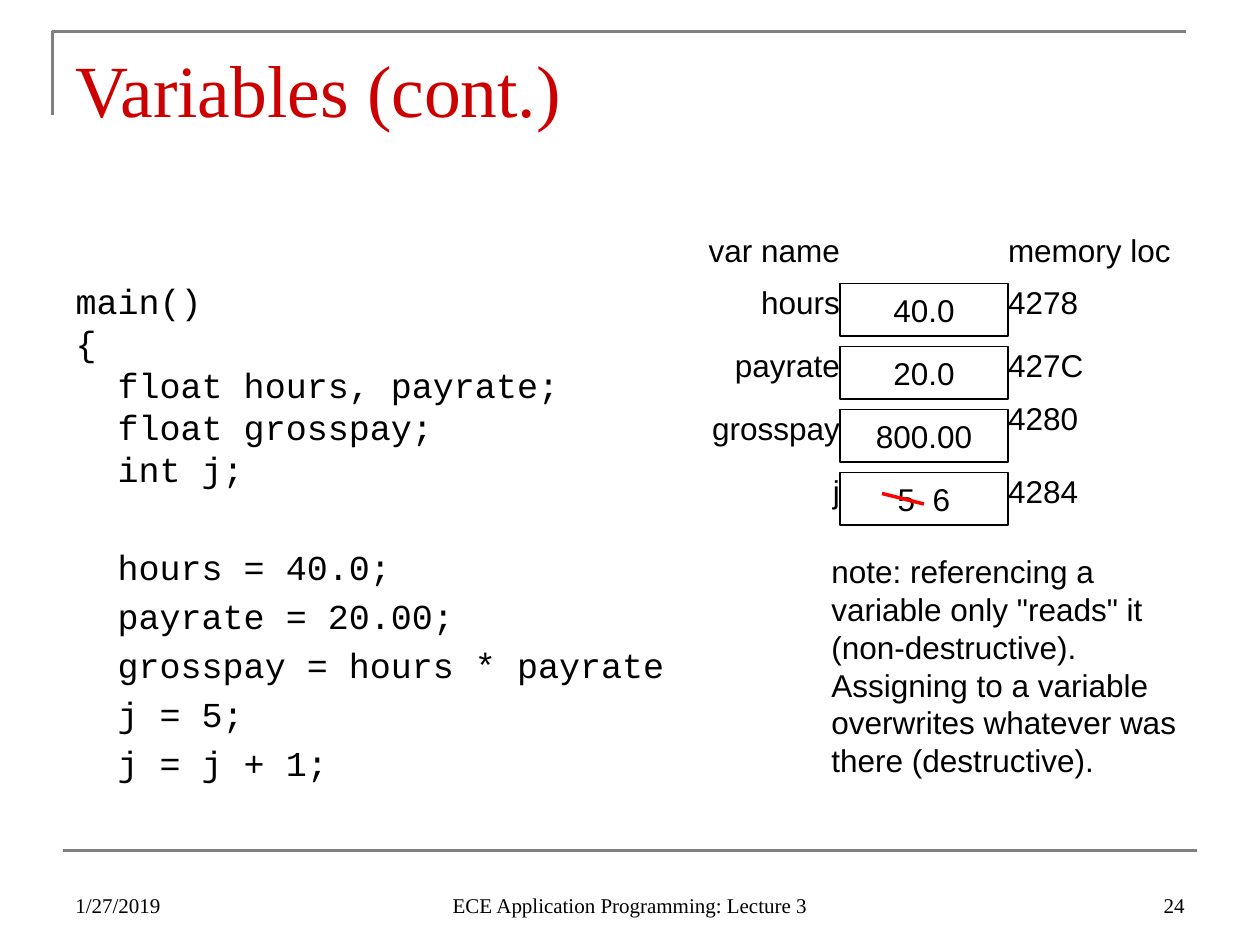
from dataclasses import dataclass

from pptx import Presentation
from pptx.dml.color import RGBColor
from pptx.enum.shapes import MSO_CONNECTOR, MSO_SHAPE
from pptx.enum.text import MSO_ANCHOR, MSO_AUTO_SIZE, PP_ALIGN
from pptx.oxml.ns import qn
from pptx.util import Pt
from lxml.etree import SubElement

PX = 7620


@dataclass(frozen=True)
class Theme:
    ink: RGBColor = RGBColor(0x00, 0x00, 0x00)
    title: RGBColor = RGBColor(0xCC, 0x00, 0x00)
    rule: RGBColor = RGBColor(0x80, 0x80, 0x80)
    strike: RGBColor = RGBColor(0xFF, 0x00, 0x00)
    serif: str = "Times New Roman"
    sans: str = "Arial"
    mono: str = "Courier New"
    title_size: int = 42
    code_size: int = 20
    label_size: int = 18
    footer_size: int = 12


class SlideBuilder:
    def __init__(self, slide, theme):
        self.slide = slide
        self.theme = theme

    def place(self, shape, left, top, width, height):
        shape.left, shape.top = left * PX, top * PX
        shape.width, shape.height = width * PX, height * PX

    def style(self, paragraph, face, size, color, align=PP_ALIGN.LEFT):
        paragraph.alignment = align
        for run in paragraph.runs:
            run.font.name = face
            run.font.size = Pt(size)
            run.font.color.rgb = color

    def title(self, text, *box):
        shape = self.slide.shapes.title
        self.place(shape, *box)
        frame = shape.text_frame
        frame.text = text
        frame.auto_size = MSO_AUTO_SIZE.NONE
        frame.vertical_anchor = MSO_ANCHOR.TOP
        theme = self.theme
        self.style(frame.paragraphs[0], theme.serif, theme.title_size, theme.title)

    def code(self, blocks, *box):
        shape = self.slide.placeholders[1]
        self.place(shape, *box)
        frame = shape.text_frame
        frame.auto_size = MSO_AUTO_SIZE.NONE
        frame.text = "\n".join(text for text, _ in blocks)
        theme = self.theme
        for paragraph, (_, space) in zip(frame.paragraphs, blocks):
            properties = paragraph._p.get_or_add_pPr()
            properties.set("marL", "0")
            properties.set("indent", "0")
            SubElement(properties, qn("a:buNone"))
            paragraph.space_before = Pt(space)
            self.style(paragraph, theme.mono, theme.code_size, theme.ink)

    def text(self, text, *box, face=None, size=None, align=PP_ALIGN.LEFT,
             anchor=MSO_ANCHOR.TOP, inset=True):
        shape = self.slide.shapes.add_textbox(*(length * PX for length in box))
        frame = shape.text_frame
        frame.word_wrap = True
        frame.vertical_anchor = anchor
        if not inset:
            frame.margin_left = frame.margin_right = 0
            frame.margin_top = frame.margin_bottom = 0
        frame.text = text
        theme = self.theme
        self.style(frame.paragraphs[0], face or theme.sans,
                   size or theme.label_size, theme.ink, align)

    def footer(self, text, *box, align=PP_ALIGN.LEFT):
        self.text(text, *box, face=self.theme.serif, size=self.theme.footer_size,
                  align=align, anchor=MSO_ANCHOR.BOTTOM)

    def cell(self, text, *box):
        shape = self.slide.shapes.add_shape(
            MSO_SHAPE.RECTANGLE, *(length * PX for length in box))
        shape.shadow.inherit = False
        shape.fill.background()
        shape.line.color.rgb = self.theme.ink
        shape.line.width = Pt(0.75)
        frame = shape.text_frame
        frame.word_wrap = False
        frame.vertical_anchor = MSO_ANCHOR.MIDDLE
        frame.text = text
        paragraph = frame.paragraphs[0]
        self.style(paragraph, self.theme.sans, self.theme.label_size,
                   self.theme.ink, PP_ALIGN.CENTER)
        return paragraph

    def line(self, start, end, color, width):
        connector = self.slide.shapes.add_connector(
            MSO_CONNECTOR.STRAIGHT, *(length * PX for length in start + end))
        connector.line.color.rgb = color
        connector.line.width = Pt(width)
        SubElement(connector._element.spPr, qn("a:effectLst"))

    def corner(self, points, color, width):
        first, *rest = points
        builder = self.slide.shapes.build_freeform(*first, scale=PX)
        builder.add_line_segments(rest, close=False)
        shape = builder.convert_to_shape()
        shape.shadow.inherit = False
        shape.fill.background()
        shape.line.color.rgb = color
        shape.line.width = Pt(width)


def main():
    presentation = Presentation()
    presentation.slide_width, presentation.slide_height = 1200 * PX, 900 * PX
    slide = presentation.slides.add_slide(presentation.slide_layouts[1])
    theme = Theme()
    builder = SlideBuilder(slide, theme)

    builder.corner([(50, 110), (50, 30), (1130, 30)], theme.rule, 1.5)
    builder.line((60, 810), (1140, 810), theme.rule, 1.5)
    builder.title("Variables (cont.)", 60, 36, 1080, 94)

    declarations = "\v".join([
        "main()", "{", "  float hours, payrate;", "  float grosspay;", "  int j;"])
    builder.code([
        (declarations, 0),
        ("  hours = 40.0;", 32),
        ("  payrate = 20.00;", 4),
        ("  grosspay = hours * payrate", 4),
        ("  j = 5;", 4),
        ("  j = j + 1;", 4),
    ], 60, 260, 730, 540)

    builder.text("var name", 600, 220, 200, 48, align=PP_ALIGN.RIGHT, inset=False)
    builder.text("memory loc", 960, 220, 220, 48, inset=False)
    variables = [
        ("hours", "40.0", "4278", 0),
        ("payrate", "20.0", "427C", 0),
        ("grosspay", "800.00", "4280", -10),
        ("j", "5 6", "4284", 0),
    ]
    for row, (name, value, location, shift) in enumerate(variables):
        top = 270 + 60 * row
        builder.text(name, 630, top, 170, 48, align=PP_ALIGN.RIGHT, inset=False)
        value_paragraph = builder.cell(value, 800, top, 160, 50)
        builder.text(location, 960, top + shift, 140, 48, inset=False)
    value_paragraph.runs[0]._r.get_or_add_rPr().set("spc", "250")
    builder.line((840, 470), (880, 480), theme.strike, 2)

    builder.text(
        'note: referencing a variable only "reads" it (non-destructive). '
        "Assigning to a variable overwrites whatever was there (destructive).",
        780, 520, 380, 348)

    builder.footer("1/27/2019", 60, 820, 280, 60)
    builder.footer("ECE Application Programming: Lecture 3", 410, 820, 380, 60,
                   align=PP_ALIGN.CENTER)
    builder.footer("24", 860, 820, 280, 60, align=PP_ALIGN.RIGHT)
    presentation.save("out.pptx")


if __name__ == "__main__":
    main()
